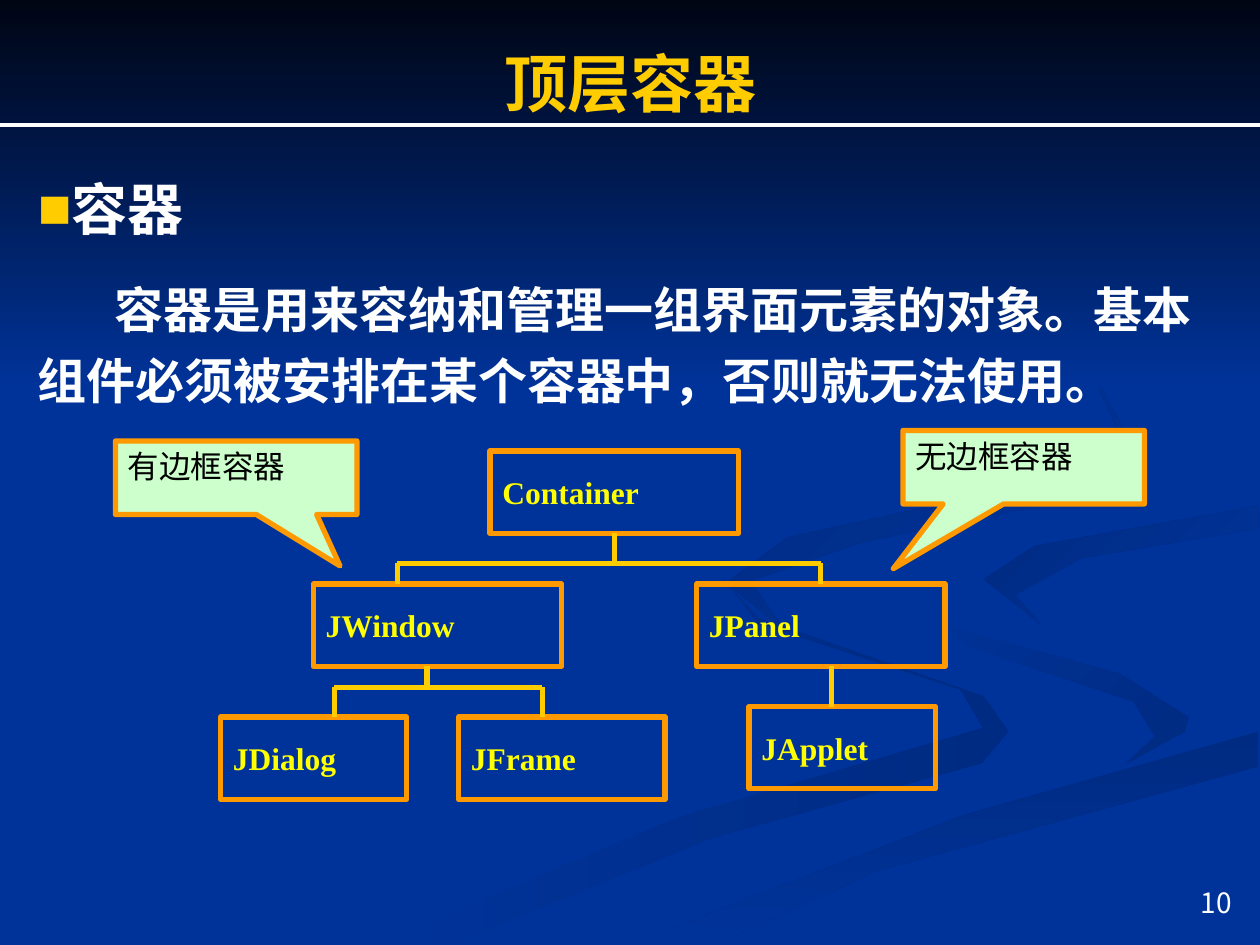
from lxml.etree import SubElement
from pptx import Presentation
from pptx.dml.color import RGBColor
from pptx.enum.shapes import MSO_CONNECTOR as Link, MSO_SHAPE as Preset
from pptx.enum.text import MSO_ANCHOR as Anchor, MSO_AUTO_SIZE as AutoSize, PP_ALIGN as Align
from pptx.oxml.ns import qn
from pptx.util import Pt

COLORS = {
    "ground": "003399", "night": "000514", "swirl": "002B82", "white": "FFFFFF",
    "gold": "FFCC00", "orange": "FF9900", "yellow": "FFFF00", "mint": "CCFFCC",
    "black": "000000",
}
LATIN, CJK = "Times New Roman", "Noto Sans CJK SC"
PAGE = (0, 0, 720, 540)

# Faint ribbons: outline, gradient colours, clockwise angle
RIBBONS = [
    ([(562, 398), (433, 353), (413, 330), (433, 356), (549, 394), (562, 416), (388, 467),
      (216, 539), (260, 539), (406, 479), (561, 436), (576, 418)], ("ground", "swirl"), 0),
    ([(679, 410), (640, 385), (546, 359), (521, 334), (552, 369), (648, 401), (660, 421),
      (644, 436), (677, 418)], ("ground", "swirl"), 45),
    ([(362, 539), (411, 539), (500, 498), (719, 438), (719, 418), (550, 466)],
     ("swirl", "ground"), 90),
    ([(562, 331), (595, 357), (580, 340), (618, 319), (719, 302), (719, 289), (591, 312)],
     ("swirl", "ground"), 45),
    ([(492, 310), (594, 289), (644, 248), (622, 209), (639, 246), (598, 275), (450, 307),
      (415, 333), (448, 360), (429, 332)], ("swirl", "ground"), 45),
]


def color(name):
    return RGBColor.from_string(COLORS[name])


def pts(*lengths):
    return [Pt(length) for length in lengths]


def set_font(para, size, tint, bold=False, latin=LATIN):
    font = para.font
    font.size, font.bold, font.name = Pt(size), bold, latin
    font.color.rgb = color(tint)
    SubElement(para._p.pPr.find(qn("a:defRPr")), qn("a:ea"), typeface=CJK)


def move(holder, box):
    holder.left, holder.top, holder.width, holder.height = pts(*box)
    frame = holder.text_frame
    frame.auto_size, frame.word_wrap = AutoSize.NONE, True
    frame.vertical_anchor = Anchor.TOP
    return frame


def shade(shape, names, angle):
    shape.shadow.inherit = False
    shape.line.fill.background()
    shape.fill.gradient()
    shape.fill.gradient_angle = (360 - angle) % 360
    for stop, name in zip(shape.fill.gradient_stops, names):
        stop.color.rgb = color(name)


def add_line(page, x1, y1, x2, y2, tint="gold", width=3):
    line = page.shapes.add_connector(Link.STRAIGHT, *pts(x1, y1, x2, y2))
    line.line.color.rgb, line.line.width = color(tint), Pt(width)
    SubElement(line._element.spPr, qn("a:effectLst"))
    return line


def add_label(page, preset, box, text, tint, bold, anchor, fill=None):
    shape = page.shapes.add_shape(preset, *pts(*box))
    shape.shadow.inherit = False
    if fill:
        shape.fill.solid()
        shape.fill.fore_color.rgb = color(fill)
    else:
        shape.fill.background()
    shape.line.color.rgb, shape.line.width = color("orange"), Pt(3)
    frame = shape.text_frame
    frame.word_wrap, frame.vertical_anchor = True, anchor
    para = frame.paragraphs[0]
    para.text, para.alignment = text, Align.LEFT
    set_font(para, 18, tint, bold)
    return shape


def place_backdrop(page, box):
    left, top, width, _ = box
    page.background.fill.solid()
    page.background.fill.fore_color.rgb = color("ground")
    for outline, names, angle in RIBBONS:
        start, *rest = [(left + x, top + y) for x, y in outline]
        builder = page.shapes.build_freeform(*start, scale=Pt(1))
        builder.add_line_segments(rest, close=True)
        shade(builder.convert_to_shape(), names, angle)
    band = page.shapes.add_shape(Preset.RECTANGLE, *pts(left, top, width, 222))
    shade(band, ("night", "ground"), 90)


def place_number(page, box):
    frame = page.shapes.add_textbox(*pts(*box)).text_frame
    frame.word_wrap, frame.vertical_anchor = True, Anchor.BOTTOM
    para = frame.paragraphs[0]
    para.text, para.alignment = "10", Align.RIGHT
    set_font(para, 16, "white", latin=CJK)


def place_body(page, box):
    body = page.placeholders[1]
    page.shapes._spTree.append(body._element)  # above the backdrop
    frame = move(body, box)
    heading, detail = frame.paragraphs[0], frame.add_paragraph()
    heading.text = "容器"
    detail.text = "容器是用来容纳和管理一组界面元素的对象。基本组件必须被安排在某个容器中，否则就无法使用。"

    # Square gold bullet on the heading, first-line indent on the detail
    for para, indent in ((heading, 0), (detail, 44)):
        props = para._p.get_or_add_pPr()
        props.set("marL", "0")
        props.set("indent", str(Pt(indent)))
    props = heading._p.pPr
    SubElement(SubElement(props, qn("a:buClr")), qn("a:srgbClr"), val=COLORS["gold"])
    SubElement(props, qn("a:buFont"), typeface=LATIN)
    SubElement(props, qn("a:buChar"), char="■")
    SubElement(detail._p.pPr, qn("a:buNone"))

    for para, size, before, after in ((heading, 32, 0, 8), (detail, 28, 7, 7)):
        para.alignment, para.line_spacing = Align.LEFT, 1.2
        para.space_before, para.space_after = Pt(before), Pt(after)
        set_font(para, size, "white", True)


def place_tree(page, box):
    left, top, _, full = box
    height = 47
    step = (full - height) / 2
    classes = {  # name: x, y, width within the tree
        "JFrame": (136, 2 * step, 118), "Container": (154, 0, 142),
        "JWindow": (53, step, 142), "JPanel": (272, step, 142),
        "JDialog": (0, 2 * step, 106.5), "JApplet": (302, 2 * step - 6, 106.5),
    }
    nodes = {
        name: add_label(page, Preset.RECTANGLE, (left + x, top + y, width, height),
                        name, "yellow", True, Anchor.MIDDLE)
        for name, (x, y, width) in classes.items()
    }

    # Forks: row, stem x, stem length, first and last branch x
    stems = []
    for row, stem, drop, first, last in ((0, 225, 17, 101, 343), (1, 118, 12, 65, 184)):
        head = top + row * step + height
        bar, foot = head + drop, top + (row + 1) * step
        stems.append(add_line(page, left + stem, head, left + stem, bar))
        add_line(page, left + first, bar, left + last, bar)
        for x in (first, last):
            add_line(page, left + x, bar, left + x, foot)
    stems[0].begin_connect(nodes["Container"], 2)
    add_line(page, left + 349, top + step + height, left + 349, top + 2 * step - 6)


def place_callout(page, box, text, tip):
    callout = add_label(page, Preset.RECTANGULAR_CALLOUT, box, text, "black", False,
                        Anchor.TOP, "mint")
    callout.adjustments[0], callout.adjustments[1] = tip


def place_title(page, box):
    title = page.shapes.title
    page.shapes._spTree.append(title._element)  # above the backdrop
    para = move(title, box).paragraphs[0]
    para.text, para.alignment = "顶层容器", Align.CENTER
    set_font(para, 36, "gold", True)
    add_line(page, 0, 71.3, 720, 71.3, "white", 2.25)


def main():
    deck = Presentation()
    deck.slide_width, deck.slide_height = pts(*PAGE[2:])
    page = deck.slides.add_slide(deck.slide_layouts[1])
    place_backdrop(page, PAGE)
    place_number(page, (660, 491, 51, 37.5))
    place_body(page, (14.4, 88.5, 690, 364))
    place_tree(page, (126, 257.8, 414, 199))
    place_callout(page, (66, 252, 138, 42), "有边框容器", (0.43, 1.2))
    place_callout(page, (516, 246, 138, 42), "无边框容器", (-0.54, 1.38))
    place_title(page, (36, 21.6, 648, 90))
    deck.save("out.pptx")


if __name__ == "__main__":
    main()
